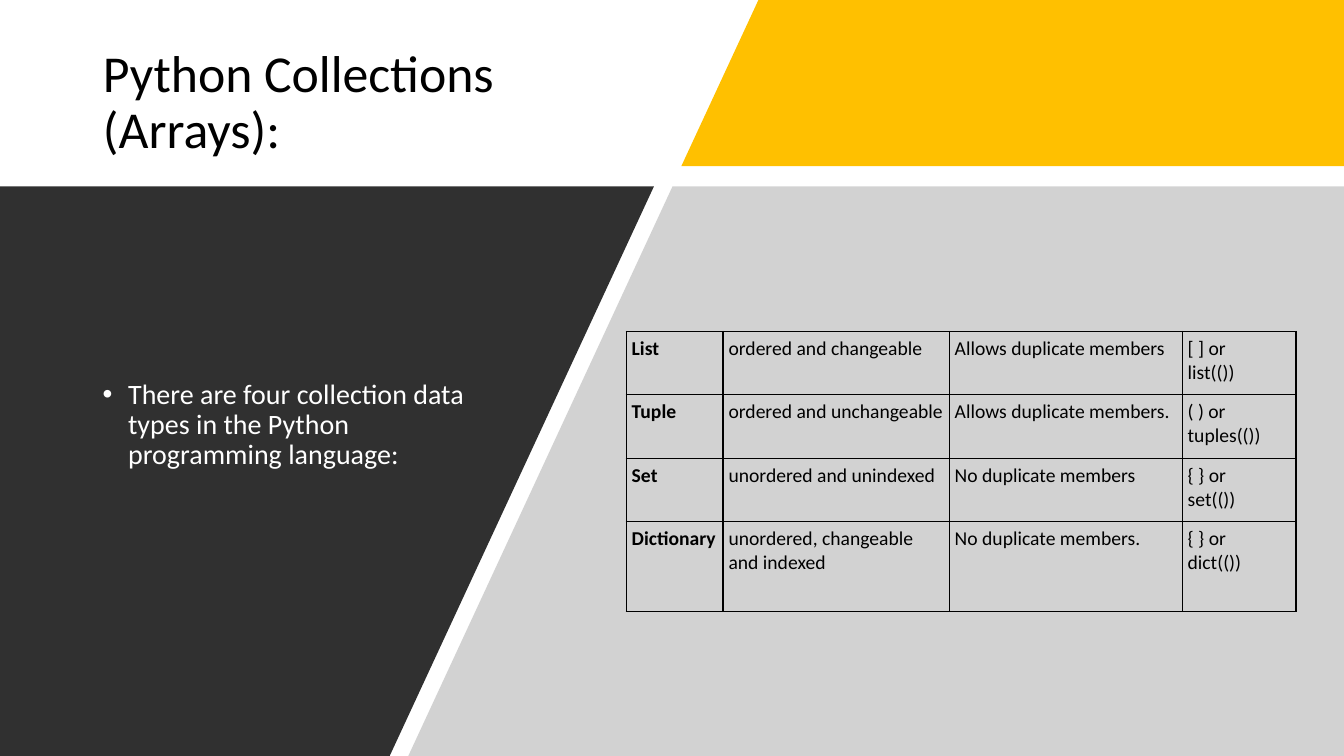
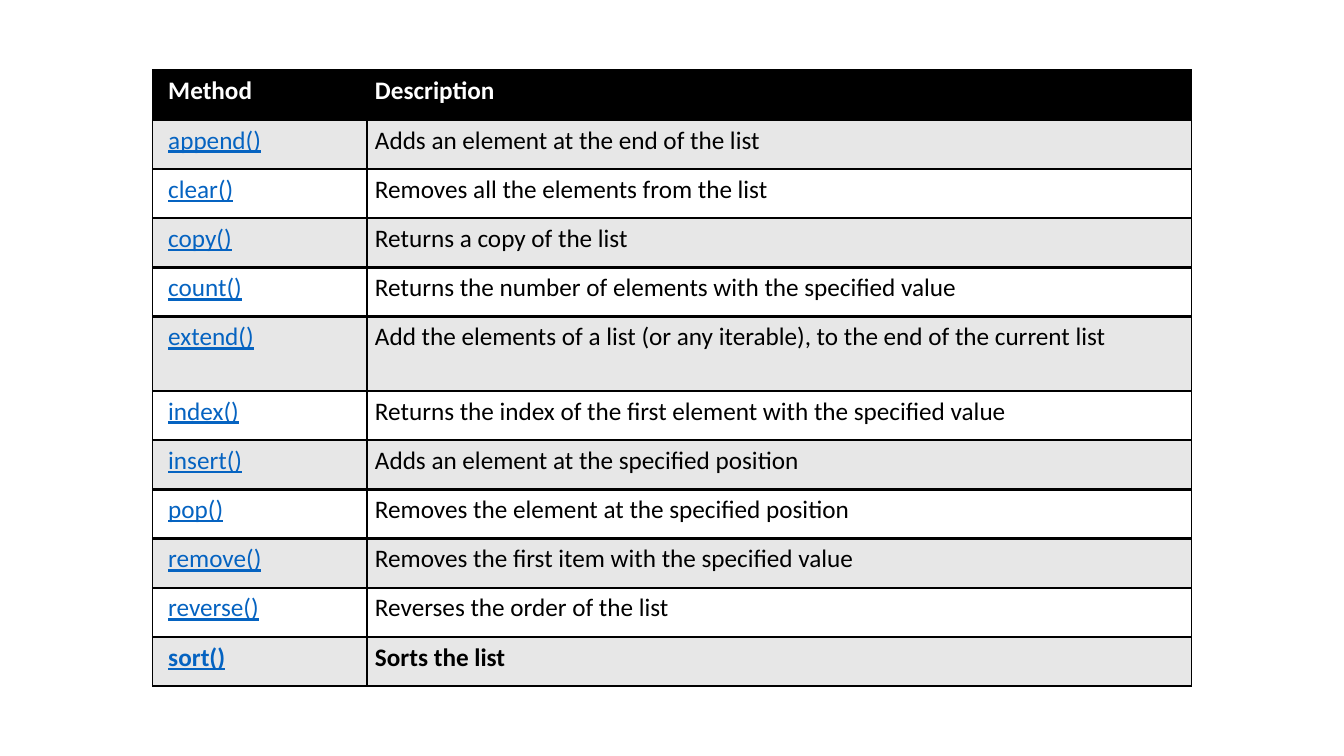
from lxml import etree
from pptx import Presentation
from pptx.dml.color import RGBColor
from pptx.enum.text import MSO_ANCHOR, MSO_AUTO_SIZE, PP_ALIGN
from pptx.oxml.ns import qn
from pptx.util import Cm, Pt

MIDDLE = MSO_ANCHOR.MIDDLE
TOP = MSO_ANCHOR.TOP
NO_AUTOFIT = MSO_AUTO_SIZE.NONE
LEFT = PP_ALIGN.LEFT

BLACK = RGBColor(0x00, 0x00, 0x00)
WHITE = RGBColor(0xFF, 0xFF, 0xFF)
YELLOW = RGBColor(0xFF, 0xC0, 0x00)
GREY = RGBColor(0xA6, 0xA6, 0xA6)
CHARCOAL = RGBColor(0x30, 0x30, 0x30)
BAND_GREY = RGBColor(0xE7, 0xE7, 0xE7)
LINK_BLUE = RGBColor(0x05, 0x63, 0xC1)

FONT_NAME = "Calibri"
SLIDE_WIDTH, SLIDE_HEIGHT = Cm(33.87), Cm(19.05)
TITLE_ONLY_LAYOUT, BLANK_LAYOUT = 5, 6
SLANT = 0.464

TITLE_FORMAT = {"size": Pt(37), "bold": False}
BODY_FORMAT = {"size": Pt(20), "bold": False}
FRAME_FORMAT = {"word_wrap": True, "auto_size": NO_AUTOFIT, "vertical_anchor": MIDDLE}
PARAGRAPH_FORMAT = {"alignment": LEFT, "line_spacing": 0.9}
PLAIN_TABLE = {"first_row": False, "horz_banding": False}

COLLECTIONS = [
    ("List", "ordered and changeable", "Allows duplicate members", "[ ] or\nlist(())"),
    ("Tuple", "ordered and unchangeable", "Allows duplicate members.", "( ) or\ntuples(())"),
    ("Set", "unordered and unindexed", "No duplicate members", "{ } or\nset(())"),
    ("Dictionary", "unordered, changeable and indexed", "No duplicate members.", "{ } or\ndict(())"),
]

METHODS = [
    ("Method", "Description"),
    ("append()", "Adds an element at the end of the list"),
    ("clear()", "Removes all the elements from the list"),
    ("copy()", "Returns a copy of the list"),
    ("count()", "Returns the number of elements with the specified value"),
    ("extend()", "Add the elements of a list (or any iterable), to the end of the current list"),
    ("index()", "Returns the index of the first element with the specified value"),
    ("insert()", "Adds an element at the specified position"),
    ("pop()", "Removes the element at the specified position"),
    ("remove()", "Removes the first item with the specified value"),
    ("reverse()", "Reverses the order of the list"),
    ("sort()", "Sorts the list"),
]


def apply_format(target, values):
    for name, value in values.items():
        setattr(target, name, value)


def format_font(font, color, values):
    font.name = FONT_NAME
    font.color.rgb = color
    apply_format(font, values)


def fill_text(shape, text, color, font_values):
    frame = shape.text_frame
    frame.text = text
    apply_format(frame, FRAME_FORMAT)
    paragraph = frame.paragraphs[0]
    apply_format(paragraph, PARAGRAPH_FORMAT)
    format_font(paragraph.runs[0].font, color, font_values)
    return paragraph


def add_bullet(paragraph, color, indent):
    properties = paragraph._p.get_or_add_pPr()
    properties.set("marL", str(indent))
    properties.set("indent", str(-indent))
    bullet_color = etree.SubElement(properties, qn("a:buClr"))
    etree.SubElement(bullet_color, qn("a:srgbClr"), val=str(color))
    etree.SubElement(properties, qn("a:buFont"), typeface="Arial")
    etree.SubElement(properties, qn("a:buChar"), char="•")


def add_panel(slide, box, color, slant_left=0, slant_right=0, opacity=None):
    left, top, width, height = box
    right, bottom = left + width, top + height
    builder = slide.shapes.build_freeform(left + int(height * slant_left), top)
    builder.add_line_segments([
        (right, top),
        (right - int(height * slant_right), bottom),
        (left, bottom),
    ])
    shape = builder.convert_to_shape()
    shape.shadow.inherit = False
    shape.fill.solid()
    shape.fill.fore_color.rgb = color
    shape.line.fill.background()
    if opacity is not None:
        fill_color = shape.element.spPr.find(".//" + qn("a:srgbClr"))
        etree.SubElement(fill_color, qn("a:alpha"), val=str(opacity * 1000))


def set_borders(cell, widths):
    properties = cell._tc.get_or_add_tcPr()
    for side, width in widths.items():
        line = etree.SubElement(properties, qn("a:ln" + side), w=str(Pt(width)))
        fill = etree.SubElement(line, qn("a:solidFill"))
        etree.SubElement(fill, qn("a:srgbClr"), val=str(BLACK))


def add_grid(slide, origin, column_widths, row_heights, rows, borders, cell_style):
    frame = slide.shapes.add_table(
        len(rows), len(column_widths), *origin, sum(column_widths), sum(row_heights))
    table = frame.table
    apply_format(table, PLAIN_TABLE)
    for column, width in zip(table.columns, column_widths):
        column.width = width
    for row, height in zip(table.rows, row_heights):
        row.height = height
    for row_index, texts in enumerate(rows):
        for column_index, text in enumerate(texts):
            cell = table.cell(row_index, column_index)
            margins, fill, color, font_values = cell_style(row_index, column_index)
            cell.text = text
            apply_format(cell, {**margins, "vertical_anchor": TOP})
            set_borders(cell, borders)
            if fill is None:
                cell.fill.background()
            else:
                cell.fill.solid()
                cell.fill.fore_color.rgb = fill
            for paragraph in cell.text_frame.paragraphs:
                format_font(paragraph.runs[0].font, color, font_values)


def cell_margins(left, right):
    return {"margin_left": Cm(left), "margin_right": Cm(right),
            "margin_top": Cm(0.13), "margin_bottom": Cm(0.13)}


def collection_style(row, column):
    return cell_margins(0.14, 0.14), None, BLACK, {"size": Pt(14), "bold": column == 0}


def method_style(row, column):
    is_header = row == 0
    is_link = column == 0 and not is_header
    if is_header:
        fill, color = BLACK, WHITE
    else:
        fill = BAND_GREY if row % 2 else WHITE
        color = LINK_BLUE if is_link else BLACK
    font_values = {"size": Pt(18), "bold": row in (0, len(METHODS) - 1), "underline": is_link}
    return cell_margins(0.2 if column else 0.4, 0.2), fill, color, font_values


def place_title(slide, text, box):
    title = slide.shapes.title
    apply_format(title, dict(zip(("left", "top", "width", "height"), box)))
    fill_text(title, text, BLACK, TITLE_FORMAT)


def add_panels(slide, band_top):
    band_height = SLIDE_HEIGHT - band_top
    banner_left, grey_left = Cm(17.17), Cm(10.29)
    add_panel(slide, (banner_left, 0, SLIDE_WIDTH - banner_left, Cm(4.19)), YELLOW,
              slant_left=SLANT)
    add_panel(slide, (grey_left, band_top, SLIDE_WIDTH - grey_left, band_height), GREY,
              slant_left=SLANT, opacity=50)
    add_panel(slide, (0, band_top, Cm(16.48), band_height), CHARCOAL, slant_right=SLANT)


def build_collections_slide(presentation):
    slide = presentation.slides.add_slide(presentation.slide_layouts[TITLE_ONLY_LAYOUT])
    place_title(slide, "Python Collections (Arrays):", (Cm(2.34), Cm(1.02), Cm(14.83), Cm(3.18)))
    add_panels(slide, Cm(4.7))
    body = slide.shapes.add_textbox(Cm(2.34), Cm(6.05), Cm(10), Cm(9.35))
    paragraph = fill_text(
        body, "There are four collection data types in the Python programming language:",
        WHITE, BODY_FORMAT)
    add_bullet(paragraph, WHITE, Cm(0.64))
    add_grid(slide, (Cm(15.78), Cm(8.35)),
             [Cm(2.44), Cm(5.7), Cm(5.87), Cm(2.87)],
             [Cm(1.6)] * 3 + [Cm(2.26)],
             COLLECTIONS, dict.fromkeys("LRTB", 0.96), collection_style)


def build_methods_slide(presentation):
    slide = presentation.slides.add_slide(presentation.slide_layouts[BLANK_LAYOUT])
    row_heights = [Cm(1.87 if name == "extend()" else 1.24) for name, _ in METHODS]
    add_grid(slide, (Cm(3.84), Cm(1.78)), [Cm(5.41), Cm(20.78)], row_heights,
             METHODS, {"L": 0.96, "R": 0.96, "T": 1.98, "B": 1.98}, method_style)


def main():
    presentation = Presentation()
    presentation.slide_width = SLIDE_WIDTH
    presentation.slide_height = SLIDE_HEIGHT
    build_collections_slide(presentation)
    build_methods_slide(presentation)
    presentation.save("out.pptx")


if __name__ == "__main__":
    main()
